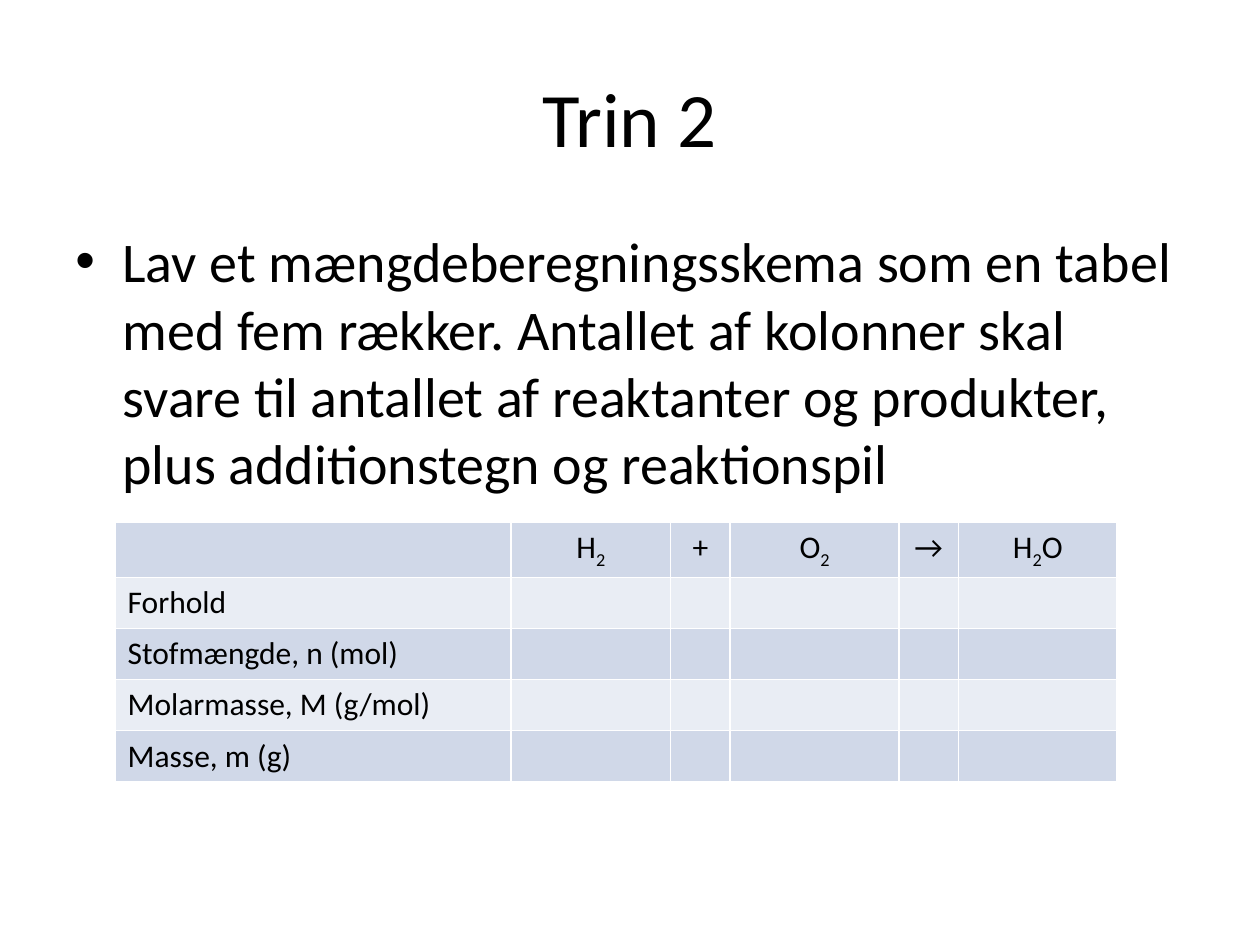
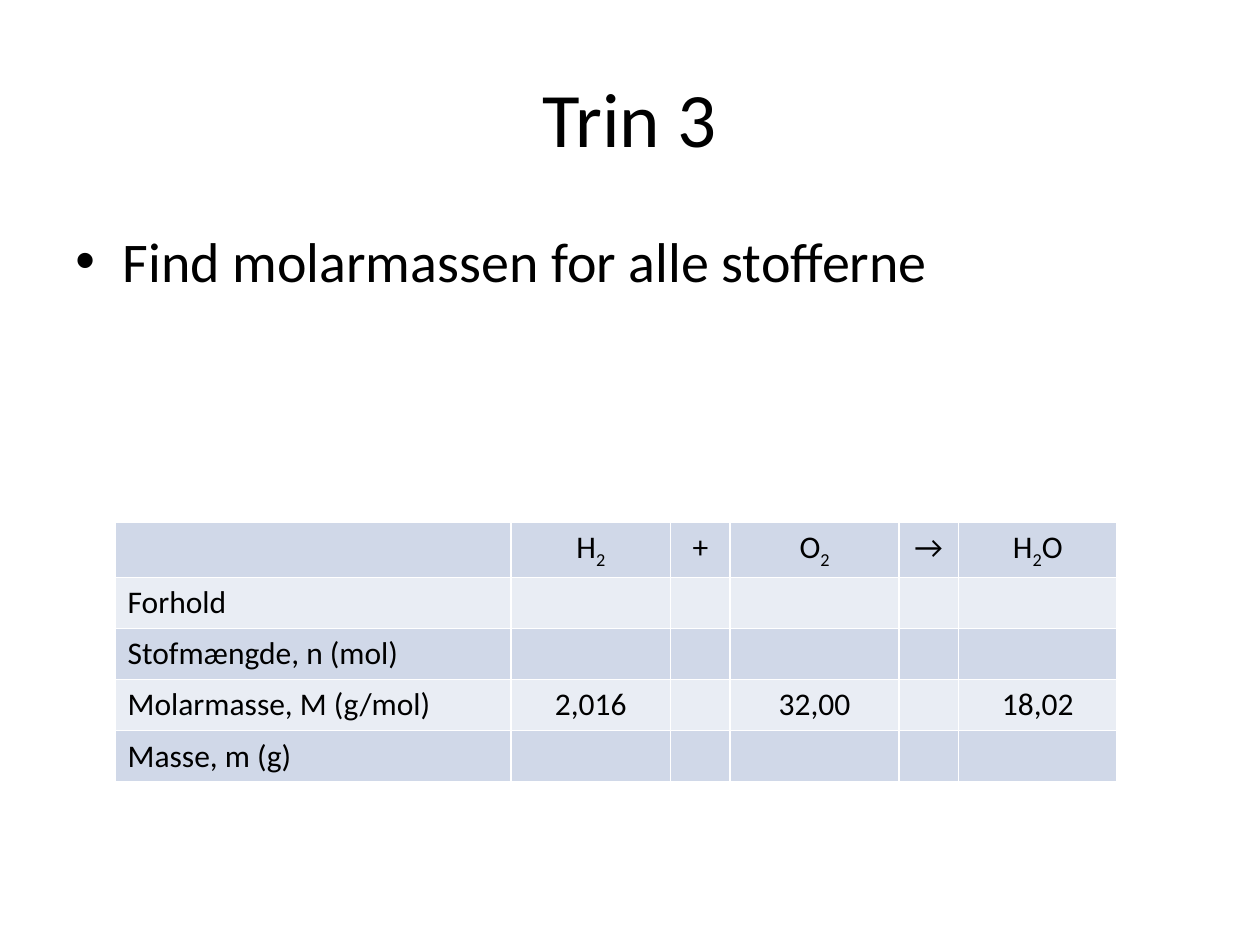
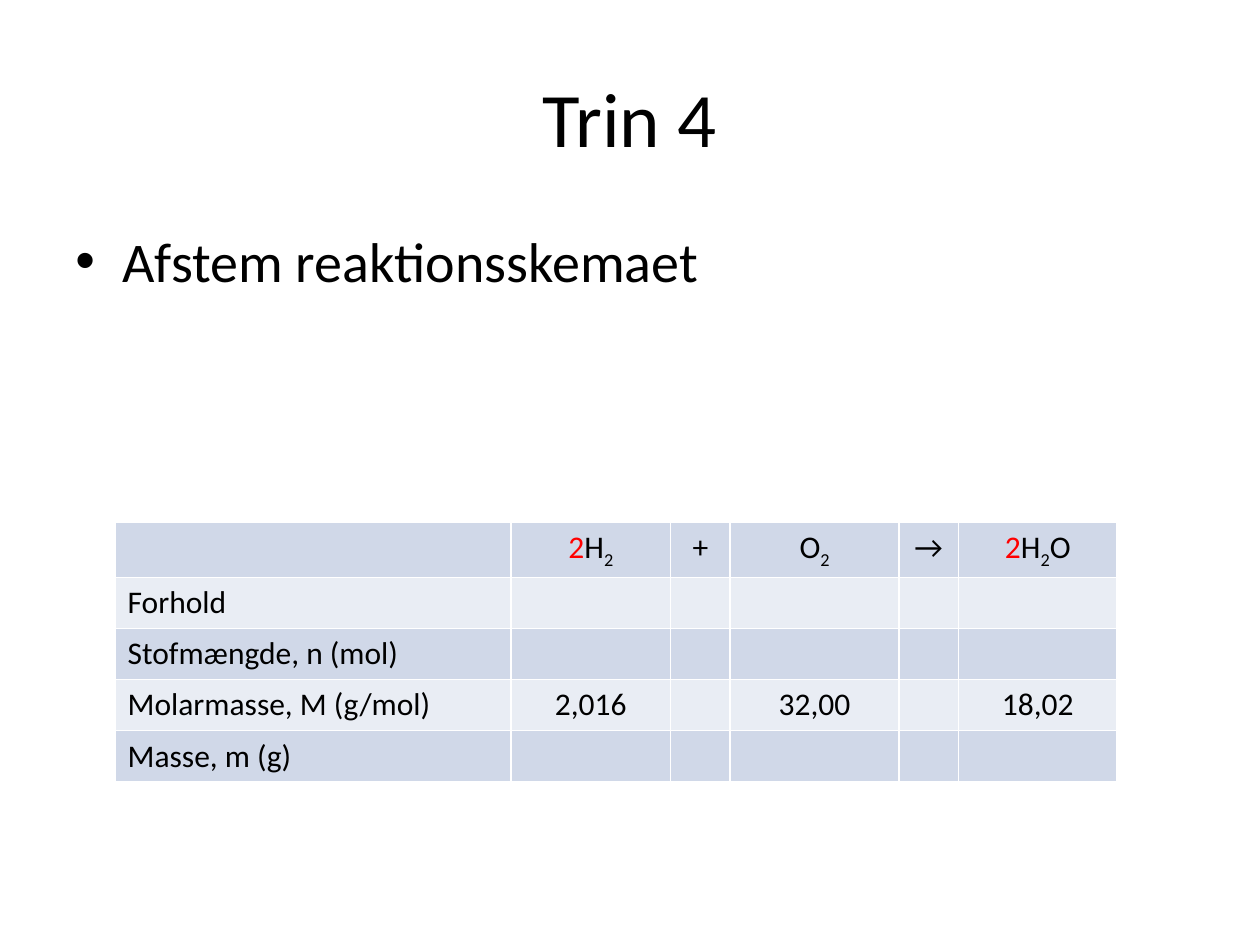
import typing

import lxml.etree
import pptx
import pptx.dml.color
import pptx.enum.text
import pptx.oxml.ns
import pptx.slide
import pptx.table
import pptx.text.text
import pptx.util

Cm = pptx.util.Cm
Pt = pptx.util.Pt
RGBColor = pptx.dml.color.RGBColor
CENTER = pptx.enum.text.PP_ALIGN.CENTER
qn = pptx.oxml.ns.qn

BLACK = RGBColor(0x00, 0x00, 0x00)
WHITE = RGBColor(0xFF, 0xFF, 0xFF)
RED = RGBColor(0xFF, 0x00, 0x00)
DARK_BAND = RGBColor(0xD0, 0xD8, 0xE8)
LIGHT_BAND = RGBColor(0xE9, 0xED, 0xF4)

FONT = "Calibri"
TITLE_SIZE, BODY_SIZE, TABLE_SIZE = Pt(44), Pt(32), Pt(18)
MARGIN, TEXT_WIDTH = Cm(1.27), Cm(22.86)
HANGING_INDENT = Cm(0.95)

TABLE_LEFT, TABLE_TOP = Cm(2.32), Cm(10.52)
COLUMN_WIDTHS = [Cm(width) for width in (7.98, 3.22, 1.2, 3.4, 1.2, 3.2)]
HEADER_HEIGHT, ROW_HEIGHT = Cm(1.1), Cm(1.03)


class Part(typing.NamedTuple):
    text: str
    color: RGBColor = BLACK
    subscript: bool = False


Parts = tuple[Part, ...]


class Step(typing.NamedTuple):
    title: str
    instruction: str
    reaction: tuple[Parts, ...]
    molar_masses: tuple[str, ...] = ()


COEFFICIENT = Part("2", RED)
INDEX = Part("2", subscript=True)
HYDROGEN: Parts = (Part("H"), INDEX)
OXYGEN: Parts = (Part("O"), INDEX)
WATER: Parts = (Part("H"), INDEX, Part("O"))
PLUS: Parts = (Part("+"),)
ARROW: Parts = (Part("→"),)

UNBALANCED = (HYDROGEN, PLUS, OXYGEN, ARROW, WATER)
BALANCED = ((COEFFICIENT, *HYDROGEN), PLUS, OXYGEN, ARROW, (COEFFICIENT, *WATER))
MOLAR_MASSES = ("2,016", "", "32,00", "", "18,02")
MOLAR_MASS_LABEL = "Molarmasse, M (g/mol)"
ROW_LABELS = ("Forhold", "Stofmængde, n (mol)", MOLAR_MASS_LABEL, "Masse, m (g)")

STEPS = (
    Step(
        "Trin 2",
        "Lav et mængdeberegningsskema som en tabel med fem rækker. "
        "Antallet af kolonner skal svare til antallet af reaktanter og "
        "produkter, plus additionstegn og reaktionspil",
        UNBALANCED,
    ),
    Step("Trin 3", "Find molarmassen for alle stofferne", UNBALANCED, MOLAR_MASSES),
    Step("Trin 4", "Afstem reaktionsskemaet", BALANCED, MOLAR_MASSES),
)


def add_parts(paragraph: pptx.text.text._Paragraph, parts: Parts, size: pptx.util.Length) -> None:
    for part in parts:
        run = paragraph.add_run()
        run.text = part.text
        run.font.name = FONT
        run.font.size = size
        run.font.color.rgb = part.color
        if part.subscript:
            run._r.get_or_add_rPr().set("baseline", "-25000")


def add_text_frame(
    slide: pptx.slide.Slide, top: pptx.util.Length, height: pptx.util.Length
) -> pptx.text.text.TextFrame:
    frame = slide.shapes.add_textbox(MARGIN, top, TEXT_WIDTH, height).text_frame
    frame.word_wrap = True
    return frame


def add_title(slide: pptx.slide.Slide, title: str) -> None:
    frame = add_text_frame(slide, Cm(0.76), Cm(3.18))
    frame.vertical_anchor = pptx.enum.text.MSO_ANCHOR.MIDDLE
    heading = frame.paragraphs[0]
    heading.alignment = CENTER
    add_parts(heading, (Part(title),), TITLE_SIZE)


def add_instruction(slide: pptx.slide.Slide, instruction: str) -> None:
    bullet = add_text_frame(slide, Cm(4.45), Cm(12.57)).paragraphs[0]
    properties = bullet._p.get_or_add_pPr()
    properties.set("marL", str(HANGING_INDENT))
    properties.set("indent", str(-HANGING_INDENT))
    lxml.etree.SubElement(properties, qn("a:buFont")).set("typeface", "Arial")
    lxml.etree.SubElement(properties, qn("a:buChar")).set("char", "•")
    add_parts(bullet, (Part(instruction),), BODY_SIZE)


def style_cell(cell: pptx.table._Cell, band: RGBColor) -> None:
    """Give the cell thin white borders and its band colour."""
    properties = cell._tc.get_or_add_tcPr()
    for side in ("lnL", "lnR", "lnT", "lnB"):
        border = lxml.etree.SubElement(properties, qn(f"a:{side}"), w=str(Pt(1)))
        fill = lxml.etree.SubElement(border, qn("a:solidFill"))
        lxml.etree.SubElement(fill, qn("a:srgbClr")).set("val", str(WHITE))
    cell.fill.solid()
    cell.fill.fore_color.rgb = band


def table_rows(step: Step) -> list[tuple[Parts, ...]]:
    rows: list[tuple[Parts, ...]] = [((), *step.reaction)]
    for label in ROW_LABELS:
        values = step.molar_masses if label == MOLAR_MASS_LABEL else ()
        cells = [(Part(value),) if value else () for value in values]
        cells += [()] * (len(step.reaction) - len(cells))
        rows.append(((Part(label),), *cells))
    return rows


def add_quantity_table(slide: pptx.slide.Slide, step: Step) -> None:
    rows = table_rows(step)
    table = slide.shapes.add_table(
        len(rows), len(COLUMN_WIDTHS), TABLE_LEFT, TABLE_TOP,
        sum(COLUMN_WIDTHS), HEADER_HEIGHT + ROW_HEIGHT * len(ROW_LABELS),
    ).table
    table.first_row = False
    table.horz_banding = False
    for column, width in zip(table.columns, COLUMN_WIDTHS):
        column.width = width
    for row_index, row in enumerate(rows):
        table.rows[row_index].height = ROW_HEIGHT if row_index else HEADER_HEIGHT
        for column_index, parts in enumerate(row):
            cell = table.cell(row_index, column_index)
            style_cell(cell, LIGHT_BAND if row_index % 2 else DARK_BAND)
            paragraph = cell.text_frame.paragraphs[0]
            if column_index:
                paragraph.alignment = CENTER
            add_parts(paragraph, parts, TABLE_SIZE)


def main() -> None:
    presentation = pptx.Presentation()
    presentation.slide_width = Cm(25.4)
    presentation.slide_height = Cm(19.05)
    blank_layout = presentation.slide_layouts[6]
    for step in STEPS:
        slide = presentation.slides.add_slide(blank_layout)
        add_title(slide, step.title)
        add_instruction(slide, step.instruction)
        add_quantity_table(slide, step)
    presentation.save("out.pptx")


if __name__ == "__main__":
    main()
